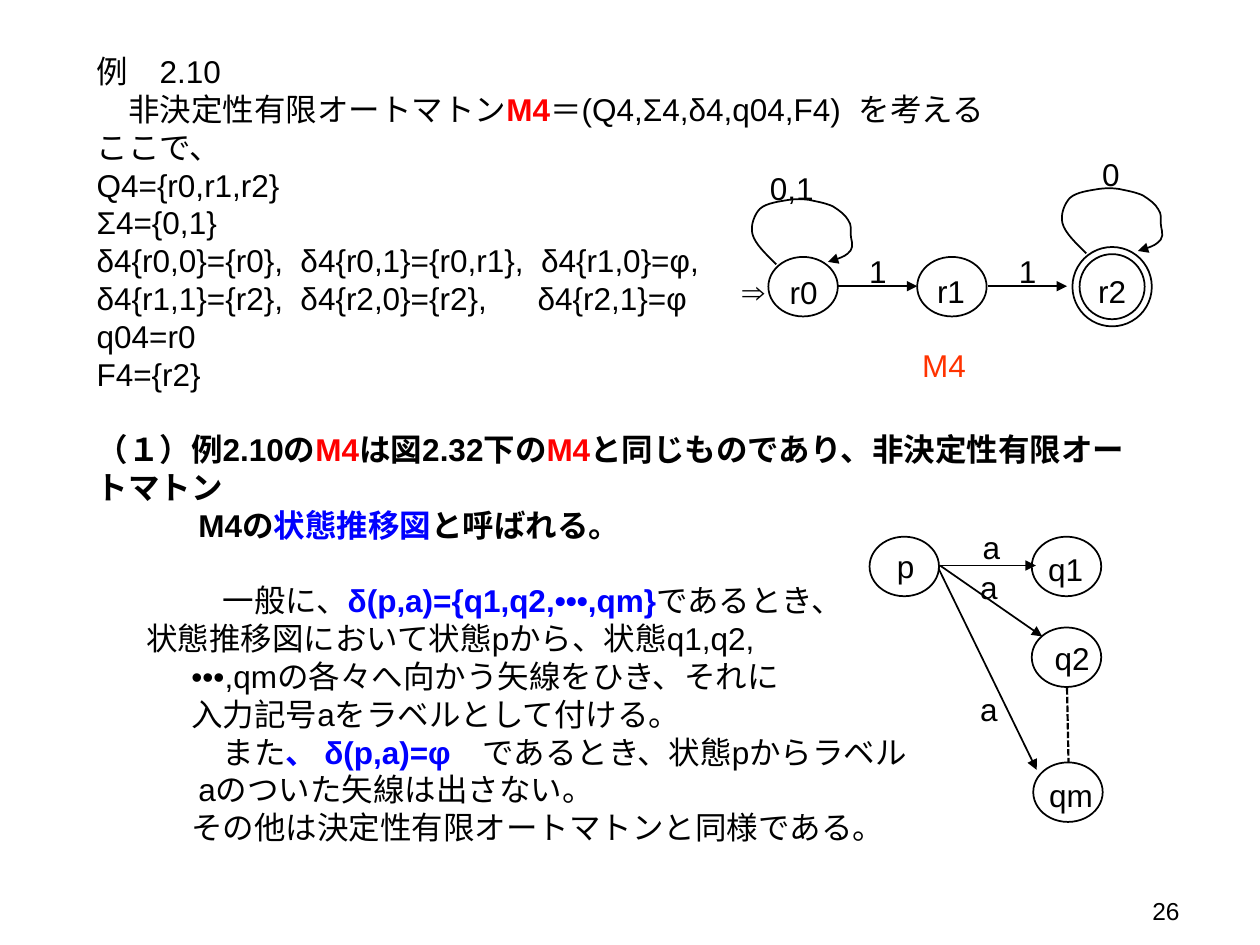
from pptx import Presentation
from pptx.dml.color import RGBColor
from pptx.enum.dml import MSO_LINE
from pptx.enum.shapes import MSO_CONNECTOR, MSO_SHAPE
from pptx.enum.text import MSO_ANCHOR, PP_ALIGN
from pptx.oxml.ns import qn
from pptx.util import Cm, Pt
from lxml.etree import SubElement

BLACK = RGBColor(0, 0, 0)
RED = RGBColor(255, 0, 0)
BLUE = RGBColor(0, 0, 255)
ORANGE = RGBColor(255, 51, 0)

PLAIN = (BLACK, False)
BOLD = (BLACK, True)
RED_BOLD = (RED, True)
BLUE_BOLD = (BLUE, True)

BODY = [
    (0, 0, [("例　2.10", PLAIN)]),
    (0.64, 0, [("非決定性有限オートマトン", PLAIN), ("M4", RED_BOLD),
               ("＝(Q4,Σ4,δ4,q04,F4)  を考える", PLAIN)]),
    (0, 0, [("ここで、", PLAIN)]),
    (0, 0, [("Q4={r0,r1,r2}", PLAIN)]),
    (0, 0, [("Σ4={0,1}", PLAIN)]),
    (0, 0, [("δ4{r0,0}={r0},  δ4{r0,1}={r0,r1},  δ4{r1,0}=φ,", PLAIN)]),
    (0, 0, [("δ4{r1,1}={r2},  δ4{r2,0}={r2},\tδ4{r2,1}=φ", PLAIN)]),
    (0, 0, [("q04=r0", PLAIN)]),
    (0, 0, [("F4={r2}", PLAIN)]),
    (0, 21.6, [("（１）例2.10の", BOLD), ("M4", RED_BOLD), ("は図2.32下の", BOLD),
               ("M4", RED_BOLD), ("と同じものであり、非決定性有限オートマトン", BOLD)]),
    (2.05, 0, [("M4の", BOLD), ("状態推移図", BLUE_BOLD), ("と呼ばれる。", BOLD)]),
    (2.54, 21.6, [("一般に、", PLAIN), ("δ(p,a)={q1,q2,•••,qm}", BLUE_BOLD),
                  ("であるとき、", PLAIN)]),
    (1, 0, [("状態推移図において状態pから、状態q1,q2,", PLAIN)]),
    (1.91, 0, [("•••,qmの各々へ向かう矢線をひき、それに", PLAIN)]),
    (1.91, 0, [("入力記号aをラベルとして付ける。", PLAIN)]),
    (2.54, 0, [("また", PLAIN), ("、 δ(p,a)=φ", BLUE_BOLD),
               ("　であるとき、状態pからラベル", PLAIN)]),
    (2.05, 0, [("aのついた矢線は出さない。", PLAIN)]),
    (1.91, 0, [("その他は決定性有限オートマトンと同様である。", PLAIN)]),
]

STATE_SIZE = (1.4, 1.2)
STATES = [(15.49, 5.18), (18.49, 5.18), (17.53, 10.82),
          (20.8, 10.82), (20.8, 12.65), (20.83, 15.37)]
ACCEPTING_STATE = (21.62, 4.98, 1.6, 1.6)
ARROWS = [(16.89, 5.77, 18.49, 5.77), (19.91, 5.77, 21.51, 5.77),
          (18.95, 11.4, 20.88, 11.4), (18.92, 11.46, 20.9, 15.52),
          (18.95, 11.4, 21.01, 12.83)]
OMITTED_STATES = (21.51, 13.87, 21.54, 15.37)

LABEL_HEIGHT = 1.02
LABELS = [
    ("⇒", 14.71, 5.36, 1.14), ("0,1", 15.27, 3.28, 1.4),
    ("1", 17.27, 4.95, 0.86), ("1", 20.29, 4.95, 0.86), ("0", 21.97, 3, 0.86),
    ("r0", 15.67, 5.38, 1.09), ("r1", 18.64, 5.36, 1.09), ("r2", 21.89, 5.36, 1.09),
    ("M4", 18.34, 6.86, 1.4),
    ("a", 19.56, 10.52, 0.86), ("a", 19.51, 11.33, 0.86), ("a", 19.51, 13.79, 0.69),
    ("p", 17.83, 10.9, 0.86), ("q1", 20.88, 10.97, 1.22),
    ("q2", 21.01, 12.75, 1.22), ("qm", 20.9, 15.52, 1.4),
]

LOOP_STARTS = [(15.65, 5.33), (21.9, 5.11)]
LOOP_CURVE = [
    (-0.2, -0.2), (-0.43, -0.41), (-0.48, -0.61),
    (-0.53, -0.79), (-0.43, -1.02), (-0.33, -1.12),
    (-0.2, -1.24), (0.08, -1.27), (0.25, -1.3),
    (0.41, -1.32), (0.51, -1.32), (0.66, -1.3),
    (0.79, -1.27), (0.99, -1.24), (1.14, -1.17),
    (1.27, -1.09), (1.4, -0.99), (1.45, -0.89),
    (1.52, -0.79), (1.5, -0.71), (1.5, -0.61),
    (1.5, -0.51), (1.57, -0.38), (1.5, -0.28),
    (1.42, -0.18), (1.24, -0.1), (1.04, -0.05),
]


def format_run(run, color=BLACK, bold=False, size=18):
    run.font.name = "Arial"
    run.font.size = Pt(size)
    run.font.bold = bold
    run.font.color.rgb = color


def add_text_box(slide, left, top, width, height, wrap):
    text_frame = slide.shapes.add_textbox(Cm(left), Cm(top), Cm(width), Cm(height)).text_frame
    text_frame.word_wrap = wrap
    text_frame.vertical_anchor = MSO_ANCHOR.TOP
    return text_frame


def add_label(slide, text, left, top, width, color):
    text_frame = add_text_box(slide, left, top, width, LABEL_HEIGHT, False)
    text_frame.text = text
    format_run(text_frame.paragraphs[0].runs[0], color)


def add_body(slide):
    text_frame = add_text_box(slide, 1.7, 0.93, 21.59, 16.41, True)
    for index, (indent, space_before, runs) in enumerate(BODY):
        paragraph = text_frame.paragraphs[0] if index == 0 else text_frame.add_paragraph()
        paragraph.space_before = Pt(space_before)
        properties = paragraph._p.get_or_add_pPr()
        properties.set("marL", str(Cm(indent)))
        properties.set("indent", "0")
        for text, (color, bold) in runs:
            run = paragraph.add_run()
            run.text = text
            format_run(run, color, bold)


def format_line(line, arrow=False, width=1):
    line.color.rgb = BLACK
    line.width = Pt(width)
    if arrow:
        SubElement(line._get_or_add_ln(), qn("a:tailEnd"), type="triangle")


def format_outline(shape, arrow=False):
    shape.shadow.inherit = False
    shape.fill.background()
    format_line(shape.line, arrow)


def add_state(slide, kind, left, top, width, height):
    shape = slide.shapes.add_shape(kind, Cm(left), Cm(top), Cm(width), Cm(height))
    format_outline(shape)
    return shape


def add_line(slide, ends, arrow=True, width=1):
    connector = slide.shapes.add_connector(MSO_CONNECTOR.STRAIGHT, *map(Cm, ends))
    format_line(connector.line, arrow, width)
    SubElement(connector._element.spPr, qn("a:effectLst"))
    return connector


def add_loop(slide, left, top):
    builder = slide.shapes.build_freeform(Cm(left), Cm(top))
    builder.add_line_segments([(Cm(left + x), Cm(top + y)) for x, y in LOOP_CURVE], close=False)
    shape = builder.convert_to_shape()
    outline = next(shape._element.iter(qn("a:path")))
    segments = outline.findall(qn("a:lnTo"))
    for start in range(0, len(segments), 3):
        curve = SubElement(outline, qn("a:cubicBezTo"))
        for segment in segments[start:start + 3]:
            curve.append(segment[0])
            outline.remove(segment)
    format_outline(shape, arrow=True)


def main():
    presentation = Presentation()
    presentation.slide_width, presentation.slide_height = Cm(25.4), Cm(19.05)
    slide = presentation.slides.add_slide(presentation.slide_layouts[6])
    add_body(slide)
    for left, top in STATES:
        add_state(slide, MSO_SHAPE.OVAL, left, top, *STATE_SIZE)
    add_state(slide, MSO_SHAPE.DONUT, *ACCEPTING_STATE).adjustments[0] = 0.09
    for left, top in LOOP_STARTS:
        add_loop(slide, left, top)
    for ends in ARROWS:
        add_line(slide, ends)
    omitted = add_line(slide, OMITTED_STATES, arrow=False, width=1.25)
    omitted.line.dash_style = MSO_LINE.SQUARE_DOT
    for text, left, top, width in LABELS:
        add_label(slide, text, left, top, width, ORANGE if text == "M4" else BLACK)
    page_number = add_text_box(slide, 18.11, 17.93, 5.92, 0.74, True)
    page_number.text = "26"
    page_number.paragraphs[0].alignment = PP_ALIGN.RIGHT
    format_run(page_number.paragraphs[0].runs[0], size=14)
    presentation.save("out.pptx")


if __name__ == "__main__":
    main()
